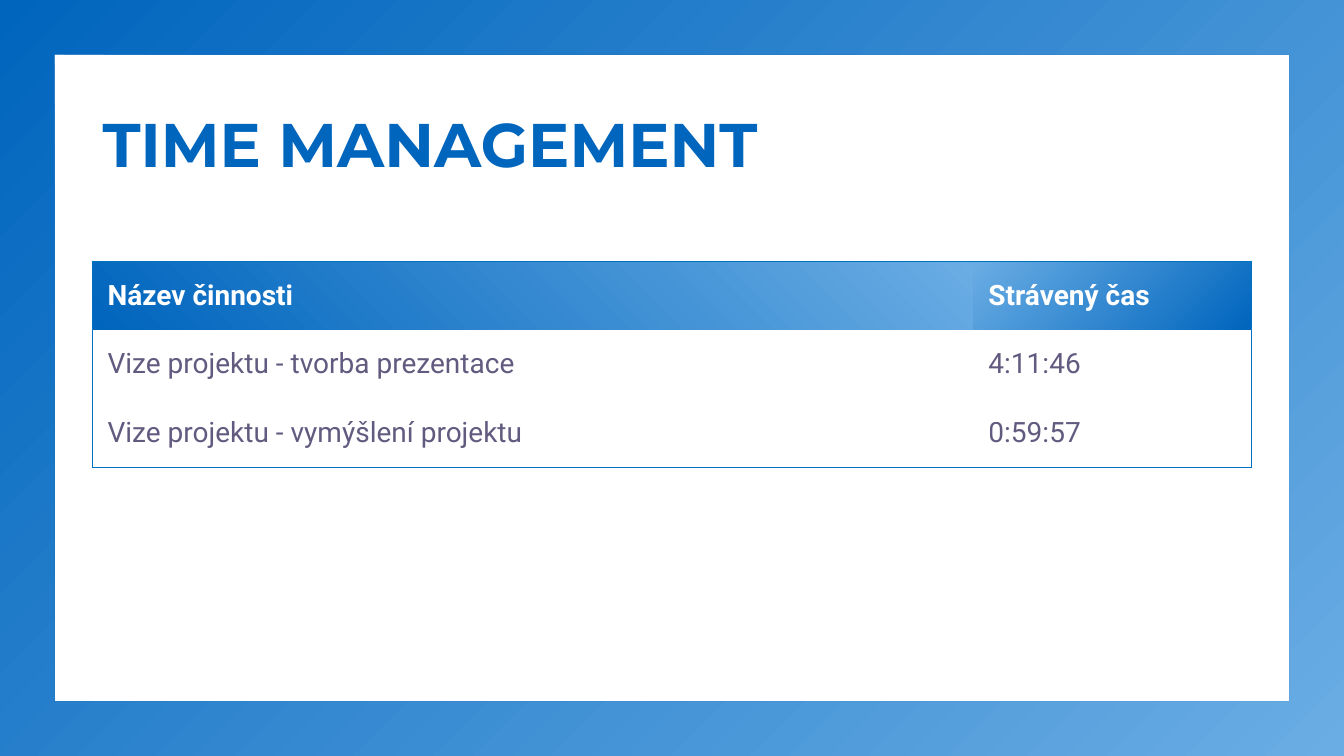
from lxml import etree
from pptx import Presentation
from pptx.dml.color import RGBColor
from pptx.enum.shapes import MSO_SHAPE as SHAPE
from pptx.enum.text import MSO_ANCHOR as ANCHOR, PP_ALIGN as ALIGN
from pptx.oxml.ns import qn
from pptx.util import Cm, Pt

BLUE, SKY, BORDER, INK = "0065BD", "6AADE4", "0070C0", "201449"


def paint(fill, color, end=None, angle=0):
    """Solid fill, or a gradient to the end colour (angle counter-clockwise)."""
    if end is None:
        fill.solid()
        fill.fore_color.rgb = RGBColor.from_string(color)
        return
    fill.gradient()
    fill.gradient_angle = angle
    for stop, stop_color, position in zip(fill.gradient_stops, (color, end), (0, 1)):
        stop.color.rgb = RGBColor.from_string(stop_color)
        stop.position = position


def write(tf, text, size, font, bold=False, spacing=1.0):
    p = tf.paragraphs[0]
    p.alignment = ALIGN.LEFT
    p.line_spacing = spacing
    r = p.add_run()
    r.text = text
    r.font.size, r.font.name, r.font.bold = Pt(size), font, bold
    return r


prs = Presentation()
prs.slide_width, prs.slide_height = Cm(33.87), Cm(19.05)
s = prs.slides.add_slide(prs.slide_layouts[5])
paint(s.background.fill, "FFFFFF")

# Gradient frame, behind the title
frame = s.shapes.add_shape(SHAPE.FRAME, 0, 0, prs.slide_width, prs.slide_height)
frame.adjustments[0] = 0.072
frame.shadow.inherit = False
frame.line.fill.background()
paint(frame.fill, BLUE, SKY, 315)
s.shapes.title.element.addprevious(frame.element)

# Title
title = s.shapes.title
title.left, title.top, title.width, title.height = Cm(2.33), Cm(1.88), Cm(29.21), Cm(3.68)
title.text_frame.vertical_anchor = ANCHOR.MIDDLE
title.text_frame.word_wrap = True
r = write(title.text_frame, "TIME MANAGEMENT", 44, "Montserrat", bold=True, spacing=0.9)
paint(r.font.fill, BLUE, SKY)

# Table of activities and time spent
rows = [
    ("Název činnosti", "Strávený čas"),
    ("Vize projektu - tvorba prezentace", "4:11:46"),
    ("Vize projektu - vymýšlení projektu", "0:59:57"),
]
widths = (22.2, 7.01)
row_height = 1.73
header_angles = (45, 135)
table = s.shapes.add_table(len(rows), len(widths), Cm(2.33), Cm(6.58),
                           Cm(sum(widths)), Cm(row_height * len(rows))).table
table.horz_banding = False
for column, width in zip(table.columns, widths):
    column.width = Cm(width)

for i, texts in enumerate(rows):
    table.rows[i].height = Cm(row_height)
    for j, text in enumerate(texts):
        cell = table.cell(i, j)
        cell.vertical_anchor = ANCHOR.MIDDLE
        cell.margin_left = cell.margin_right = Cm(0.38)
        cell.margin_top = cell.margin_bottom = Cm(0.38)

        # Only the outer edges carry a line
        outer = {"lnL": j == 0, "lnR": j == len(widths) - 1,
                 "lnT": i == 0, "lnB": i == len(rows) - 1}
        tcPr = cell._tc.get_or_add_tcPr()
        for edge, drawn in outer.items():
            ln = etree.SubElement(tcPr, qn(f"a:{edge}"), w=str(Pt(0.5)))
            if drawn:
                line_fill = etree.SubElement(ln, qn("a:solidFill"))
                etree.SubElement(line_fill, qn("a:srgbClr"), val=BORDER)
            else:
                etree.SubElement(ln, qn("a:noFill"))

        header = i == 0
        r = write(cell.text_frame, text, 20, "Roboto", bold=header)
        if header:
            paint(cell.fill, BLUE, SKY, header_angles[j])
            paint(r.font.fill, "FFFFFF")
        else:
            cell.fill.background()
            paint(r.font.fill, INK)
            ink = r.font._element.find(".//" + qn("a:srgbClr"))
            etree.SubElement(ink, qn("a:alpha"), val="70000")

prs.save("out.pptx")
